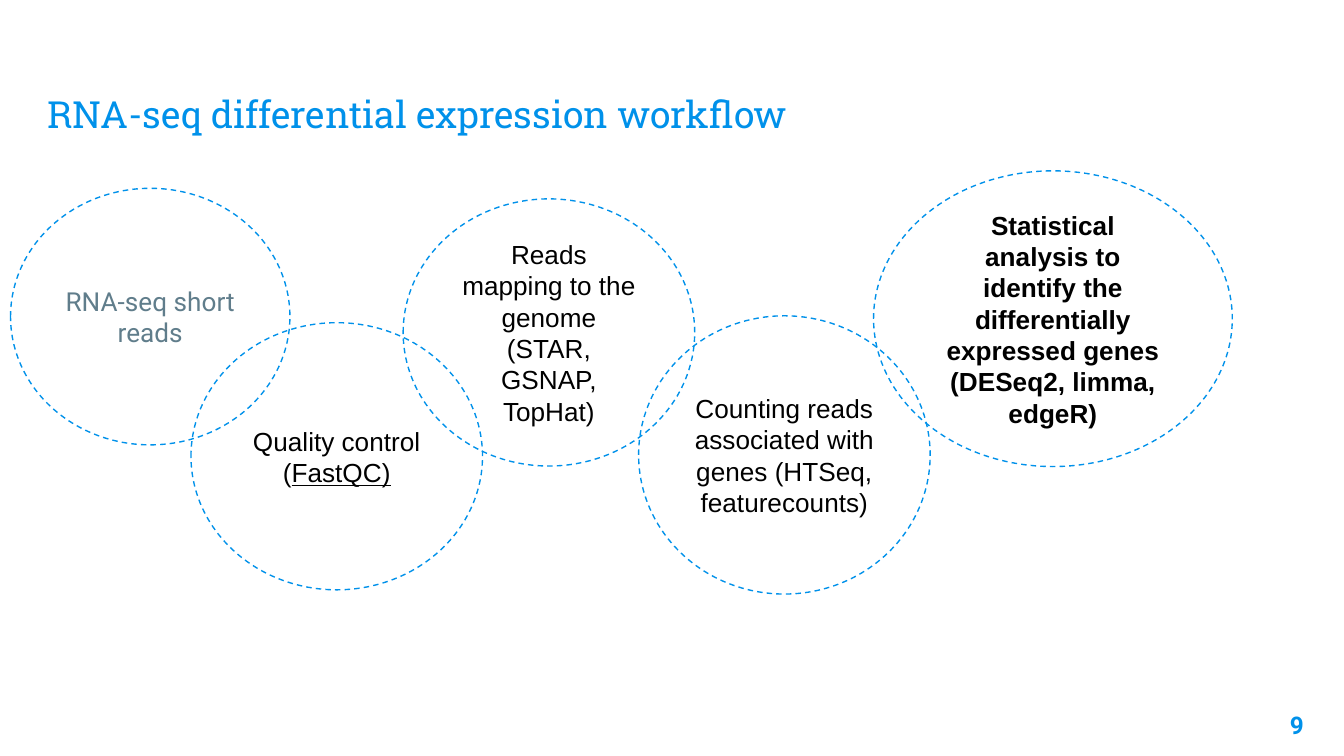
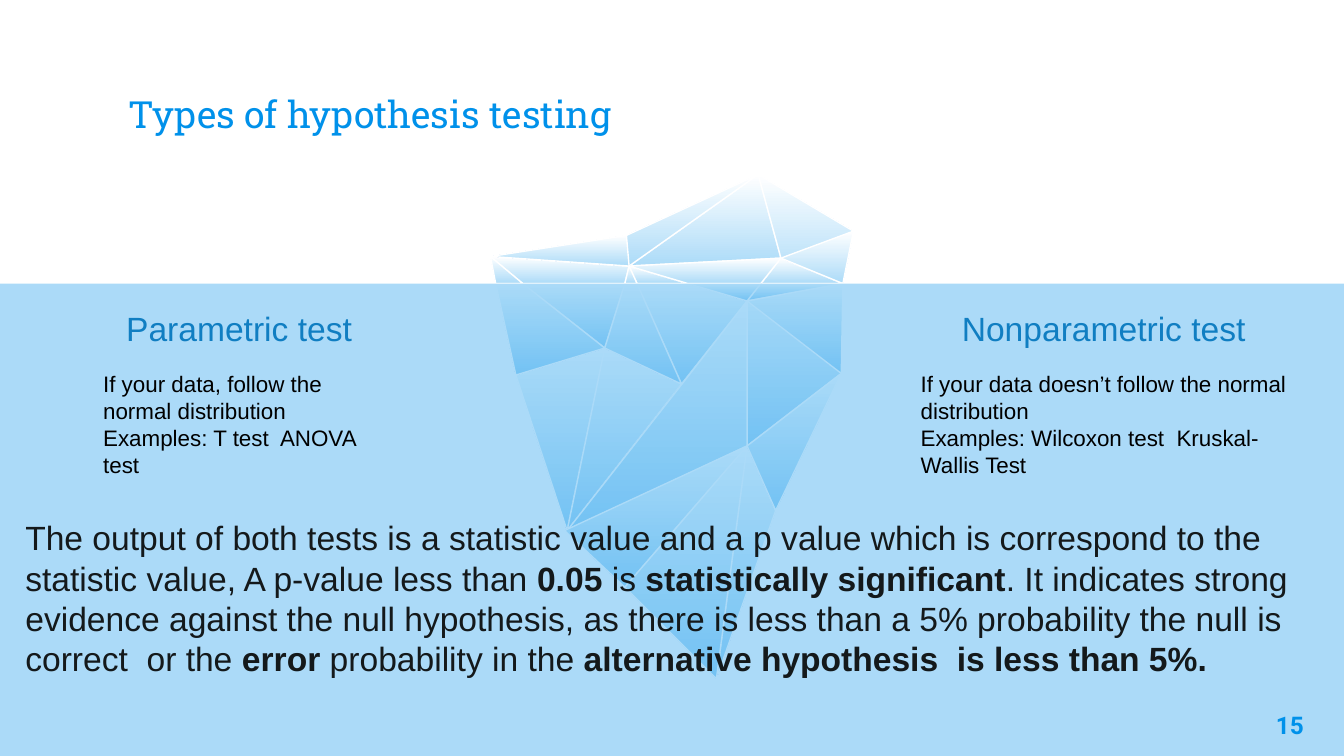
from pptx import Presentation
from pptx.dml.color import RGBColor
from pptx.enum import dml, shapes, text
from pptx.oxml.xmlchemy import OxmlElement
from pptx.util import Cm, Pt

BLUE = "0091EA"
HEADING_BLUE = "107EC2"
GREY = "607D8B"
BLACK = "000000"
INK = "14191B"
WHITE = "FFFFFF"
ICE = "ACDBF8"
BODY_FONT = "Arial"
ACCENT_FONT = "Roboto"
TITLE_FONT = "Roboto Slab"
INSET = 0.25
WATERLINE = 5.36
CENTER = text.PP_ALIGN.CENTER
LEFT = text.PP_ALIGN.LEFT
RIGHT = text.PP_ALIGN.RIGHT

WORKFLOW = [
    (3.61, 6.1, 5.51, 5.05, [[("Quality control (", ""), ("FastQC)", "u")]], BODY_FONT, BLACK),
    (0.2, 3.56, 5.28, 4.85, [[("RNA-seq short reads", "")]], ACCENT_FONT, GREY),
    (12.07, 5.97, 5.51, 5.26,
     [[("Counting reads associated with genes (HTSeq, featurecounts)", "")]], BODY_FONT, BLACK),
    (7.62, 3.76, 5.51, 5.05,
     [[("Reads mapping to the genome", "")], [("(STAR, GSNAP, TopHat)", "")]], BODY_FONT, BLACK),
    (16.51, 3.23, 6.78, 5.59,
     [[("Statistical analysis to identify the differentially expressed genes "
        "(DESeq2, limma, edgeR)", "b")]], BODY_FONT, BLACK),
]

ICE_POINTS = {
    "a": (9.27, 4.85), "b": (9.88, WATERLINE), "c": (15.93, WATERLINE), "d": (14.33, 3.3),
    "e": (11.89, 5.03), "f": (14.76, 4.88), "g": (16.13, 4.37), "h": (9.37, WATERLINE),
    "i": (11.81, WATERLINE), "j": (11.84, 4.45), "k": (14.38, WATERLINE),
    "l": (12.04, WATERLINE), "m": (13, WATERLINE), "n": (15.9, 7.06), "o": (14.12, 8.43),
    "p": (14.12, 5.69), "q": (11.43, 6.58), "r": (10.72, 10.03), "s": (9.75, 7.09),
    "t": (14.66, 9.65), "u": (13.54, 12.83), "v": (12.88, 7.26), "w": (10.67, 10.03),
    "x": (11.81, 11.1),
}
ICE_FACETS = (
    "cab def dgcf abh eiba deaj fck lem abh jea gfc lei cnop qrs "
    "iqb otu cpk vlmp vqr pro bqsh cpn qvli wox xuo nto efkm pkm"
).split()

TESTS = [
    (1.7, 5.64, "Parametric test", "If your data, follow the normal distribution",
     "Examples: T test  ANOVA test"),
    (17.15, 7.42, "Nonparametric test", "If your data doesn’t follow the normal distribution",
     "Examples: Wilcoxon test  Kruskal-Wallis Test"),
]

CONCLUSION = [
    ("The output of both tests is a statistic value and a p value which is correspond to the "
     "statistic value, A p-value less than", ""),
    (" 0.05 ", "b"),
    ("is ", ""),
    ("statistically significant", "b"),
    (". It indicates strong evidence against the null hypothesis, as there is less than a 5% "
     "probability the null is correct  or the ", ""),
    ("error", "b"),
    (" probability in the ", ""),
    ("alternative hypothesis  is less than 5%.", "b"),
]


def rgb(value):
    return RGBColor.from_string(value)


def place(part, left, top, width, height):
    part.left, part.top, part.width, part.height = map(Cm, (left, top, width, height))


def set_frame(frame, anchor, inset_y=INSET):
    frame.word_wrap = True
    frame.auto_size = text.MSO_AUTO_SIZE.NONE
    frame.vertical_anchor = anchor
    frame.margin_left = frame.margin_right = Cm(INSET)
    frame.margin_top = frame.margin_bottom = Cm(inset_y)


def write(paragraph, pieces, size, color, font=BODY_FONT, align=LEFT):
    paragraph.alignment = align
    for words, style in pieces:
        run = paragraph.add_run()
        run.text = words
        run.font.name = font
        run.font.size = Pt(size)
        run.font.bold = "b" in style
        run.font.underline = "u" in style
        run.font.color.rgb = rgb(color)


def add_paragraphs(frame, lines):
    for index, line in enumerate(lines):
        paragraph = frame.add_paragraph() if index else frame.paragraphs[0]
        write(paragraph, **line)


def add_text(slide, left, top, width, height, lines, inset_y=INSET):
    frame = slide.shapes.add_textbox(*map(Cm, (left, top, width, height))).text_frame
    set_frame(frame, text.MSO_ANCHOR.TOP, inset_y)
    add_paragraphs(frame, lines)
    return frame


def add_titled_slide(deck, title, left, width):
    slide = deck.slides.add_slide(deck.slide_layouts[5])
    heading = slide.shapes.title
    place(heading, left, 0.86, width, 1.96)
    set_frame(heading.text_frame, text.MSO_ANCHOR.BOTTOM)
    write(heading.text_frame.paragraphs[0], [(title, "")], 20, BLUE, TITLE_FONT)
    return slide


def add_page_number(slide, number):
    add_text(slide, 23.34, 13.18, 1.55, 1.09, [
        dict(pieces=[(number, "b")], size=13, color=BLUE, font=ACCENT_FONT, align=RIGHT)])


def add_step(slide, left, top, width, height, lines, font, color):
    step = slide.shapes.add_shape(
        shapes.MSO_SHAPE.OVAL, *map(Cm, (left, top, width, height)))
    step.shadow.inherit = False
    step.fill.background()
    step.line.color.rgb = rgb(BLUE)
    step.line.width = Pt(0.75)
    step.line.dash_style = dml.MSO_LINE.DASH
    set_frame(step.text_frame, text.MSO_ANCHOR.MIDDLE)
    add_paragraphs(step.text_frame, [
        dict(pieces=pieces, size=14, color=color, font=font, align=CENTER)
        for pieces in lines])


def add_facet(slide, corners):
    start, *rest = [tuple(map(Cm, ICE_POINTS[corner])) for corner in corners]
    outline = slide.shapes.build_freeform(*start)
    outline.add_line_segments(rest, close=True)
    facet = outline.convert_to_shape()
    facet.shadow.inherit = False
    facet.fill.gradient()
    facet.fill.gradient_angle = 270
    for stop, color in zip(facet.fill.gradient_stops, (WHITE, ICE)):
        stop.color.rgb = rgb(color)
    facet.line.color.rgb = rgb(WHITE)
    facet.line.width = Pt(0.75)
    return facet


def add_iceberg(slide):
    slide.shapes.add_group_shape([add_facet(slide, corners) for corners in ICE_FACETS])


def add_water(slide):
    water = slide.shapes.add_shape(
        shapes.MSO_SHAPE.RECTANGLE, *map(Cm, (0, WATERLINE, 25.4, 8.93)))
    water.shadow.inherit = False
    water.fill.solid()
    water.fill.fore_color.rgb = rgb(BLUE)
    alpha = OxmlElement("a:alpha")
    alpha.set("val", "33000")
    water.fill._xPr.solidFill[0].append(alpha)
    water.line.fill.background()


def add_test(slide, left, width, name, condition, examples):
    frame = add_text(slide, left, 5.69, width, 4.5, [
        dict(pieces=[(name, "")], size=18, color=HEADING_BLUE, align=CENTER),
        dict(pieces=[(condition, "")], size=12, color=BLACK),
        dict(pieces=[(examples, "")], size=12, color=BLACK),
    ], inset_y=0.13)
    frame.paragraphs[1].space_before = Pt(12)


def build_workflow(deck):
    slide = add_titled_slide(deck, "RNA-seq differential expression workflow", 0.64, 23.37)
    for step in WORKFLOW:
        add_step(slide, *step)
    add_page_number(slide, "9")


def build_tests(deck):
    slide = add_titled_slide(deck, "Types of hypothesis testing", 2.18, 21.03)
    add_iceberg(slide)
    add_water(slide)
    for test in TESTS:
        add_test(slide, *test)
    add_page_number(slide, "15")
    add_text(slide, 0.23, 9.65, 24.77, 4.88,
             [dict(pieces=CONCLUSION, size=18, color=INK)], inset_y=0.13)


def main():
    deck = Presentation()
    deck.slide_width, deck.slide_height = Cm(25.4), Cm(14.29)
    build_workflow(deck)
    build_tests(deck)
    deck.save("out.pptx")


if __name__ == "__main__":
    main()
